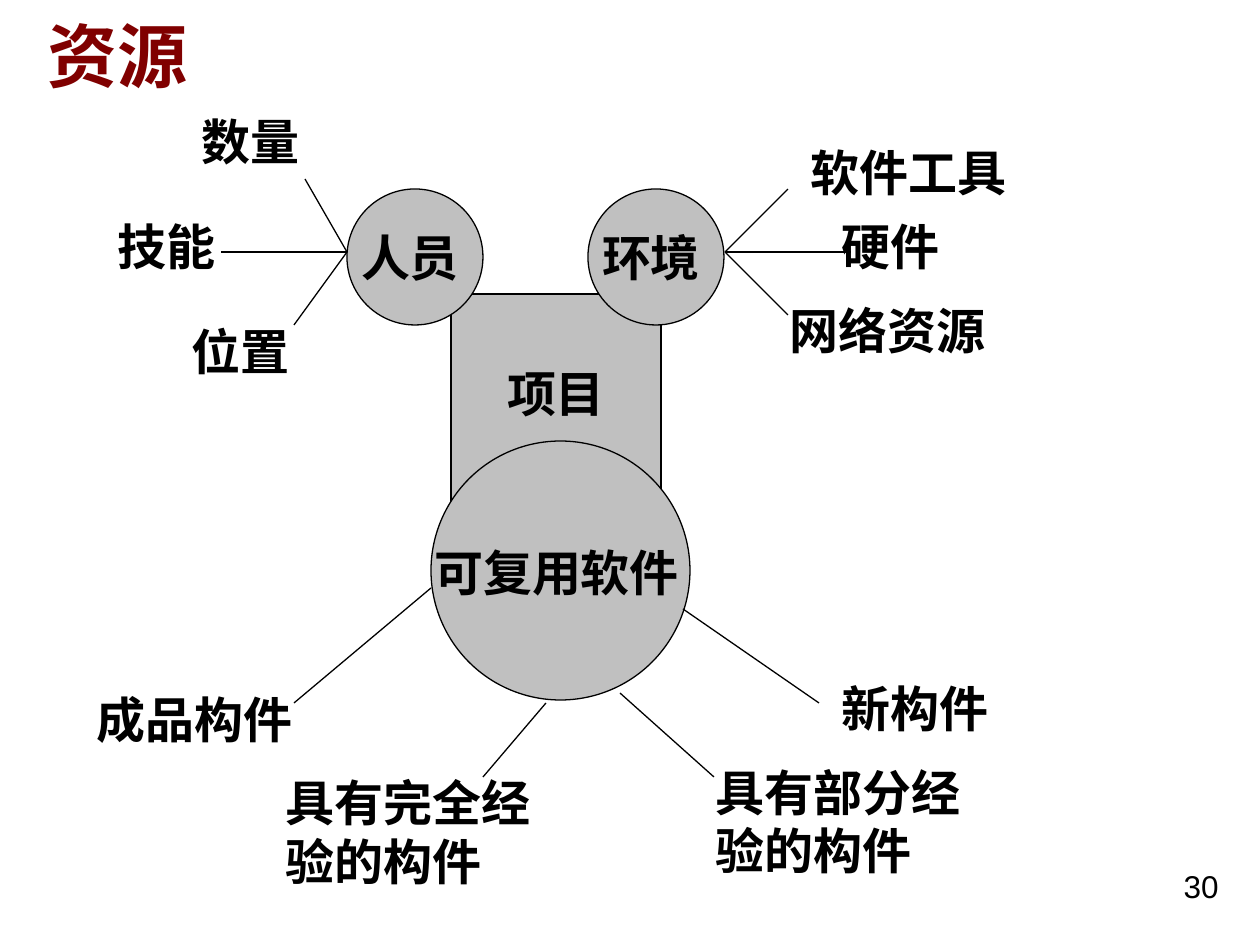
from pptx import Presentation
from pptx.dml.color import RGBColor
from pptx.enum.shapes import MSO_CONNECTOR, MSO_SHAPE
from pptx.enum.text import MSO_ANCHOR, PP_ALIGN
from pptx.oxml.ns import qn
from pptx.util import Pt
from lxml.etree import SubElement

SCALE = 914400 / 126
BLACK = RGBColor(0x00, 0x00, 0x00)
GRAY = RGBColor(0xC0, 0xC0, 0xC0)
MAROON = RGBColor(0x80, 0x00, 0x00)
LABEL_HEIGHT = 72
SPOKE_Y = 63


def emu(*pixels):
    """Turn pixel lengths into EMU."""
    return [round(pixel * SCALE) for pixel in pixels]


def add_text(slide, box, text, align=PP_ALIGN.LEFT, size=28, font="Times New Roman",
             color=BLACK, bold=True, anchor=MSO_ANCHOR.TOP):
    """Add a wrapped one-run text box."""
    frame = slide.shapes.add_textbox(*emu(*box)).text_frame
    frame.word_wrap = True
    frame.vertical_anchor = anchor
    paragraph = frame.paragraphs[0]
    paragraph.alignment = align
    run = paragraph.add_run()
    run.text = text
    run.font.size = Pt(size)
    run.font.name = font
    run.font.bold = bold
    run.font.color.rgb = color


def add_gray_shape(slide, kind, box):
    """Add a gray shape with a thin black outline."""
    shape = slide.shapes.add_shape(kind, *emu(*box))
    shape.shadow.inherit = False
    shape.fill.solid()
    shape.fill.fore_color.rgb = GRAY
    shape.line.color.rgb = BLACK
    shape.line.width = Pt(0.75)


def add_line(slide, start, end):
    """Add a thin black line between two points."""
    line = slide.shapes.add_connector(MSO_CONNECTOR.STRAIGHT, *emu(*start, *end))
    line.line.color.rgb = BLACK
    line.line.width = Pt(0.75)
    SubElement(line._element.spPr, qn("a:effectLst"))


def draw_project(slide, left, top, size):
    """Draw the central project square and its label."""
    add_gray_shape(slide, MSO_SHAPE.RECTANGLE, (left, top, size, size))
    add_text(slide, (left, top + 63, size, LABEL_HEIGHT), "项目", PP_ALIGN.CENTER)


def draw_resource(slide, left, top, diameter, name, name_box, branches):
    """Draw a resource circle with its branches, all relative to the circle's corner."""
    def place(x, y):
        return left + x, top + y

    add_gray_shape(slide, MSO_SHAPE.OVAL, (left, top, diameter, diameter))
    name_x, name_y, name_width = name_box
    add_text(slide, (*place(name_x, name_y), name_width, LABEL_HEIGHT), name, PP_ALIGN.CENTER)
    for text, (x, y, width, height), start, end in branches:
        add_text(slide, (*place(x, y), width, height), text)
        add_line(slide, place(*start), place(*end))


def main():
    """Build the resources slide."""
    presentation = Presentation()
    presentation.slide_width, presentation.slide_height = emu(1260, 945)
    slide = presentation.slides.add_slide(presentation.slide_layouts[6])
    add_text(slide, (35, -24, 1071, 158), "资源", size=40, font="Cambria",
             color=MAROON, anchor=MSO_ANCHOR.MIDDLE)
    draw_project(slide, 451, 294, 210)

    small_name = (-42, 32, 210)
    people_hub = (0, SPOKE_Y)
    draw_resource(slide, 347, 189, 136, "人员", small_name, [
        ("数量", (-158, -84, 147, LABEL_HEIGHT), people_hub, (-42, -10)),
        ("技能", (-242, 21, 147, LABEL_HEIGHT), people_hub, (-126, SPOKE_Y)),
        ("位置", (-168, 126, 147, LABEL_HEIGHT), people_hub, (-53, 136)),
    ])
    environment_hub = (137, SPOKE_Y)
    draw_resource(slide, 588, 189, 136, "环境", small_name, [
        ("软件工具", (210, -53, 252, LABEL_HEIGHT), environment_hub, (200, 0)),
        ("硬件", (241, 21, 220, LABEL_HEIGHT), environment_hub, (263, SPOKE_Y)),
        ("网络资源", (189, 105, 262, LABEL_HEIGHT), environment_hub, (200, 126)),
    ])
    draw_resource(slide, 431, 441, 259, "可复用软件", (-74, 95, 399), [
        ("成品构件", (-347, 242, 242, LABEL_HEIGHT), (0, 147), (-137, 262)),
        ("具有完全经验的构件", (-158, 325, 284, 130), (115, 262), (52, 336)),
        ("具有部分经验的构件", (272, 315, 294, 130), (189, 252), (283, 336)),
        ("新构件", (398, 231, 220, LABEL_HEIGHT), (252, 168), (388, 262)),
    ])
    add_text(slide, (937, 861, 294, 66), "30", PP_ALIGN.RIGHT, 18, "Arial", bold=False)
    presentation.save("out.pptx")


main()
